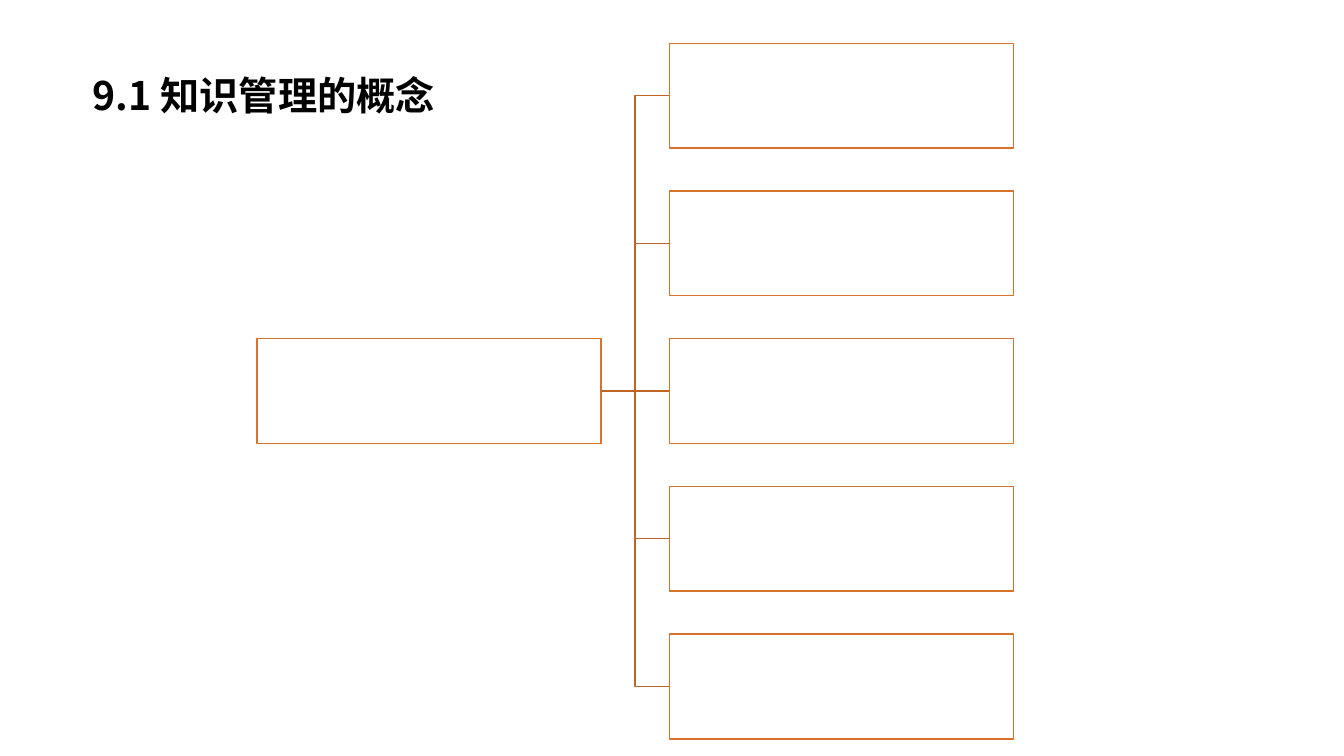
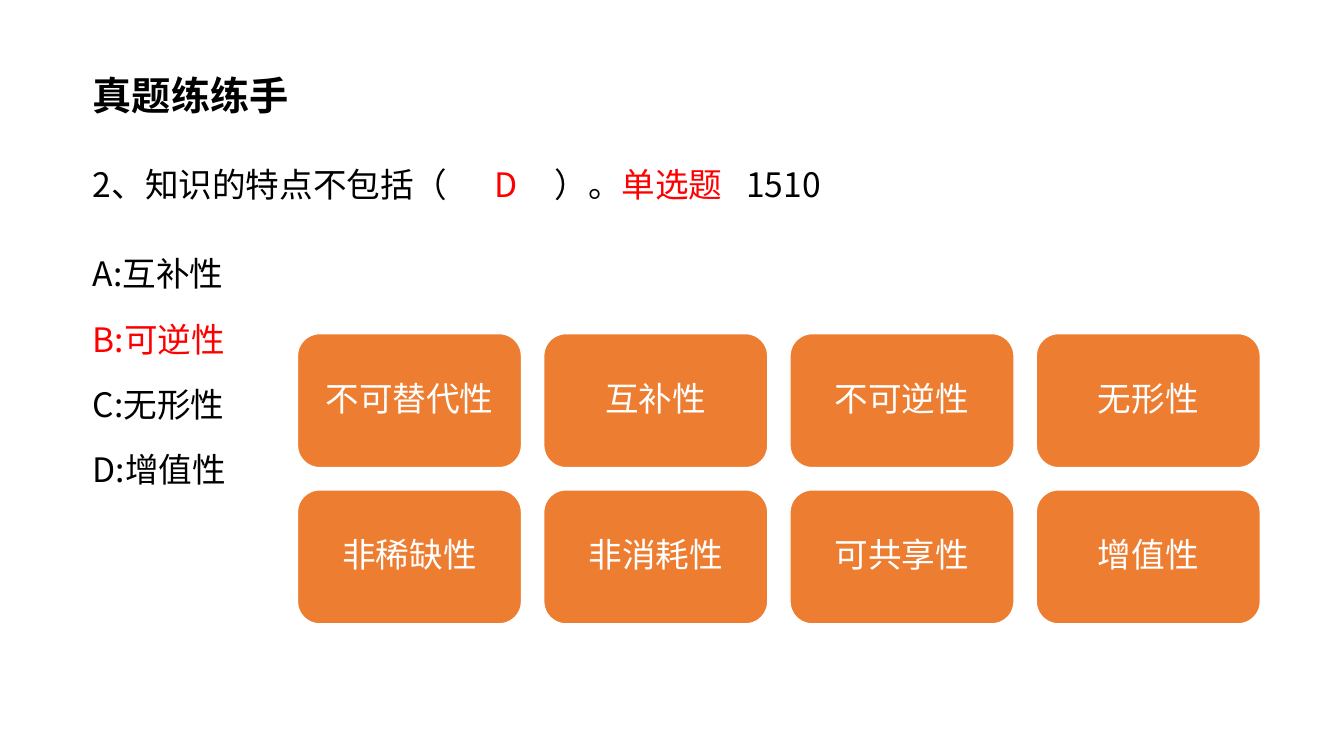
from lxml import etree
from pptx import Presentation
from pptx.dml.color import RGBColor
from pptx.enum.shapes import MSO_CONNECTOR, MSO_SHAPE
from pptx.enum.text import MSO_ANCHOR, PP_ALIGN
from pptx.oxml.ns import qn
from pptx.util import Inches, Pt

ELBOW, STRAIGHT = MSO_CONNECTOR.ELBOW, MSO_CONNECTOR.STRAIGHT
RECTANGLE, ROUNDED = MSO_SHAPE.RECTANGLE, MSO_SHAPE.ROUNDED_RECTANGLE
TOP, MIDDLE = MSO_ANCHOR.TOP, MSO_ANCHOR.MIDDLE
LEFT, CENTER = PP_ALIGN.LEFT, PP_ALIGN.CENTER
LEFT_SITE, RIGHT_SITE = 1, 3

BLACK, WHITE, RED = "000000", "FFFFFF", "FF0000"
ORANGE, OUTLINE, BRANCH = "ED7D31", "D7712C", "BE6427"
TEXT_FONT, CARD_FONT = "Noto Sans CJK SC", "Noto Sans CJK JP"

QUESTION = [("2、知识的特点不包括（", BLACK), ("\tD", RED), ("\t）。", BLACK),
            ("单选题", RED), ("\t1510", BLACK)]
QUESTION_TABS = [3.98, 4.58, 6.48]
OPTIONS = [("A:互补性", BLACK), ("B:可逆性", RED), ("C:无形性", BLACK), ("D:增值性", BLACK)]
FEATURES = [["不可替代性", "互补性", "不可逆性", "无形性"],
            ["非稀缺性", "非消耗性", "可共享性", "增值性"]]


def color(value):
    return RGBColor.from_string(value)


def add_text(paragraph, text, size=24, font=TEXT_FONT, fill=BLACK, bold=False,
             align=LEFT, spacing=None, before=None):
    paragraph.alignment = align
    if spacing is not None:
        paragraph.line_spacing = spacing
    if before is not None:
        paragraph.space_before = Pt(before)
    run = paragraph.add_run()
    run.text = text
    run.font.size = Pt(size)
    run.font.bold = bold
    run.font.color.rgb = color(fill)
    run.font.name = font
    east_asian = etree.SubElement(run.font._element, qn("a:ea"))
    east_asian.set("typeface", font)


def add_tabs(paragraph, positions):
    tab_list = etree.SubElement(paragraph._p.get_or_add_pPr(), qn("a:tabLst"))
    for position in positions:
        tab = etree.SubElement(tab_list, qn("a:tab"))
        tab.set("pos", str(int(Inches(position))))
        tab.set("algn", "l")


def format_frame(frame, anchor, horizontal, vertical):
    frame.word_wrap = True
    frame.vertical_anchor = anchor
    frame.margin_left = frame.margin_right = Inches(horizontal)
    frame.margin_top = frame.margin_bottom = Inches(vertical)
    return frame


def add_text_box(slide, left, top, width, height, anchor=TOP):
    shape = slide.shapes.add_textbox(Inches(left), Inches(top), Inches(width), Inches(height))
    return format_frame(shape.text_frame, anchor, 0.12, 0.06)


def add_box(slide, kind, left, top, width, height, fill, line):
    shape = slide.shapes.add_shape(kind, Inches(left), Inches(top), Inches(width), Inches(height))
    shape.shadow.inherit = False
    shape.fill.solid()
    shape.fill.fore_color.rgb = color(fill)
    shape.line.color.rgb = color(line)
    shape.line.width = Pt(1)
    return shape


def add_branch(slide, kind, parent, child):
    connector = slide.shapes.add_connector(kind, 0, 0, 0, 0)
    connector.begin_connect(parent, RIGHT_SITE)
    connector.end_connect(child, LEFT_SITE)
    connector.line.color.rgb = color(BRANCH)
    connector.line.width = Pt(1)
    etree.SubElement(connector._element.spPr, qn("a:effectLst"))


def add_title(slide, text, width):
    frame = add_text_box(slide, 0.8, 0.65, width, 0.59, anchor=MIDDLE)
    add_text(frame.paragraphs[0], text, size=28, bold=True)


def add_tree(slide, left, top, width, height, children=5):
    box_width, box_height = 3.41, 1.04
    step = (height - box_height) / (children - 1)
    middle = (children - 1) / 2

    def node(x, row):
        return add_box(slide, RECTANGLE, x, top + row * step, box_width, box_height,
                       WHITE, OUTLINE)

    root = node(left, middle)
    for row in range(children):
        child = node(left + width - box_width, row)
        add_branch(slide, STRAIGHT if row == middle else ELBOW, root, child)


def add_question(slide, left, top, width, height):
    frame = add_text_box(slide, left, top, width, height)
    question = frame.paragraphs[0]
    question.line_spacing = 1.25
    add_tabs(question, QUESTION_TABS)
    for text, fill in QUESTION:
        add_text(question, text, fill=fill)
    for index, (text, fill) in enumerate(OPTIONS):
        add_text(frame.add_paragraph(), text, fill=fill, spacing=0.9,
                 before=20.6 if index else 38)


def add_cards(slide, left, top, width, height, gap=0.22):
    rows, columns = len(FEATURES), len(FEATURES[0])
    card_width = (width - gap * (columns - 1)) / columns
    card_height = (height - gap * (rows - 1)) / rows
    for row, features in enumerate(FEATURES):
        for column, feature in enumerate(features):
            card = add_box(slide, ROUNDED, left + column * (card_width + gap),
                           top + row * (card_height + gap), card_width, card_height,
                           ORANGE, WHITE)
            frame = format_frame(card.text_frame, MIDDLE, 0.1, 0.1)
            add_text(frame.paragraphs[0], feature, font=CARD_FONT, fill=WHITE,
                     align=CENTER, spacing=0.9)


def build_concept_slide(slide):
    add_tree(slide, 2.55, 0.43, 7.5, 6.9)
    add_title(slide, "9.1 知识管理的概念", 4.31)


def build_exercise_slide(slide):
    add_title(slide, "真题练练手", 9.65)
    add_question(slide, 0.8, 1.47, 11.45, 5.51)
    add_cards(slide, 2.95, 3.31, 9.55, 2.88)


def main():
    presentation = Presentation()
    presentation.slide_width = Inches(13.33)
    presentation.slide_height = Inches(7.5)
    blank = presentation.slide_layouts[6]
    for build in (build_concept_slide, build_exercise_slide):
        build(presentation.slides.add_slide(blank))
    presentation.save("out.pptx")


if __name__ == "__main__":
    main()
